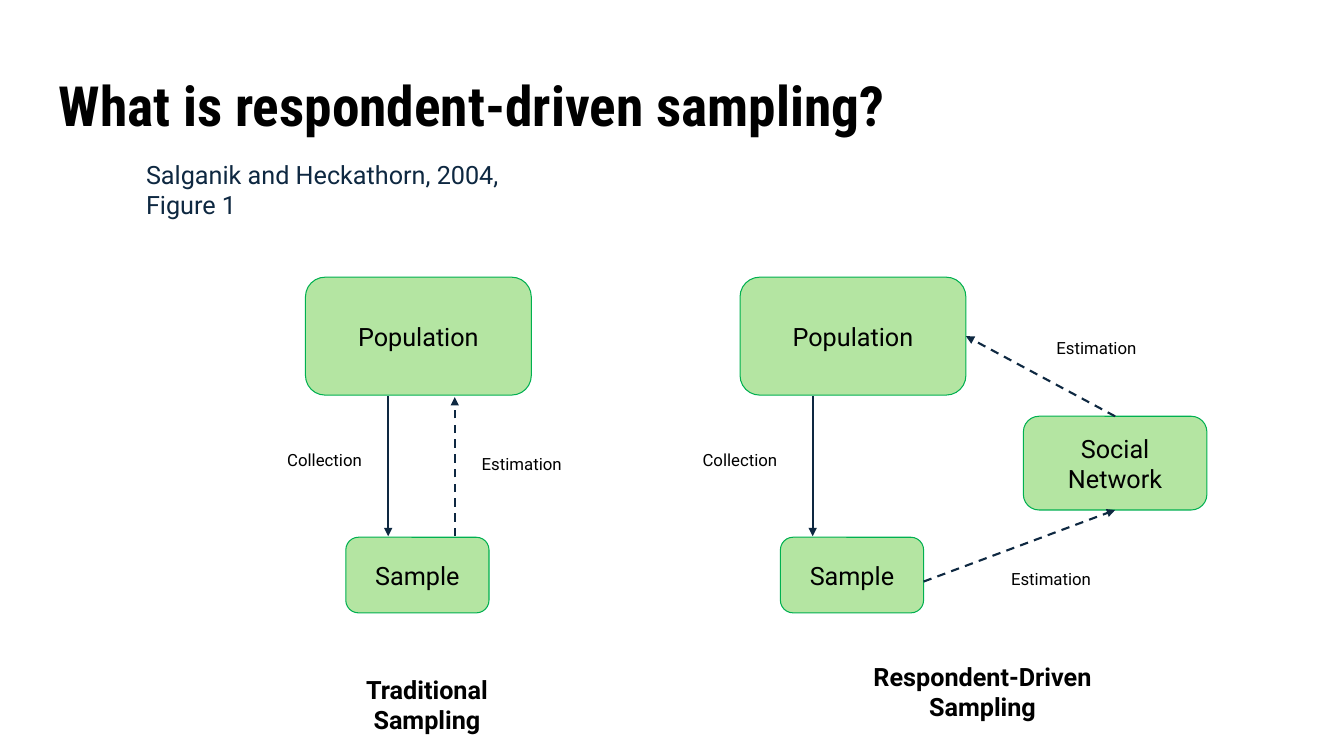
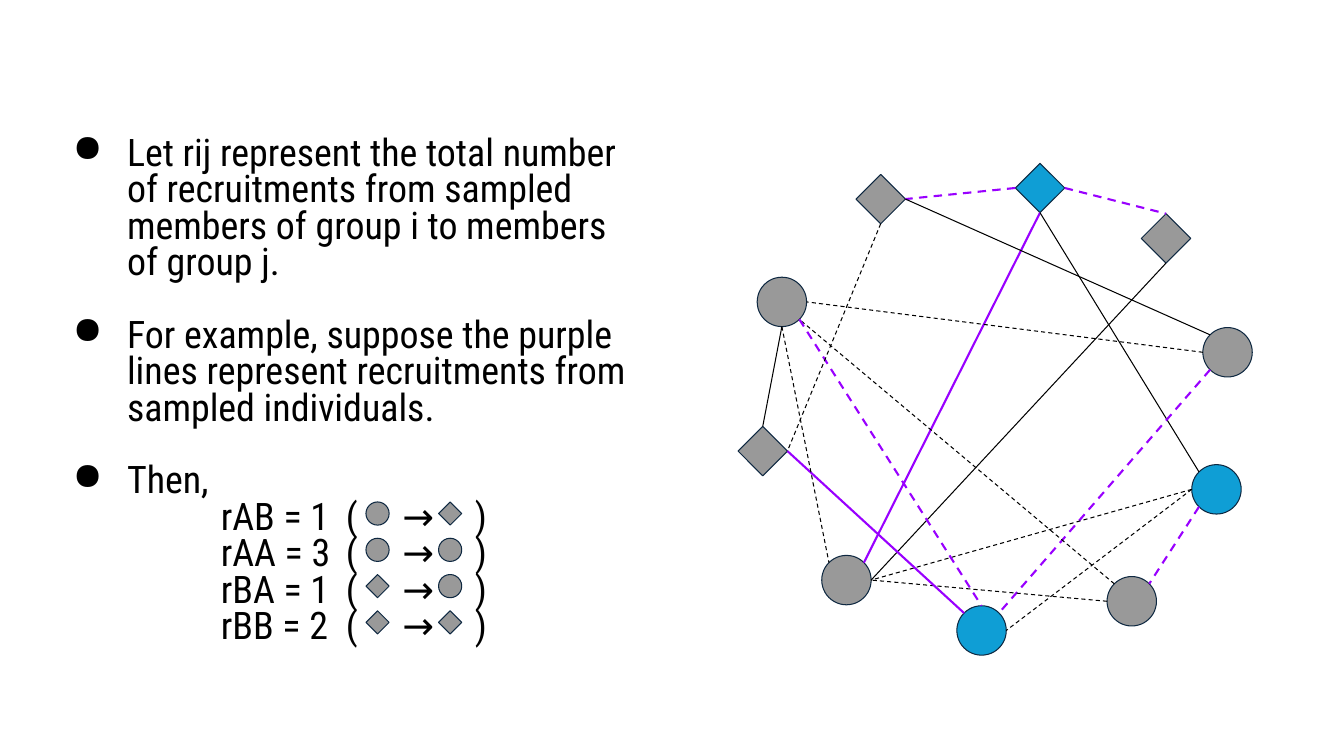
from math import sqrt

from lxml.etree import SubElement
from pptx import Presentation
from pptx.dml.color import RGBColor
from pptx.enum.dml import MSO_LINE
from pptx.enum.shapes import MSO_CONNECTOR, MSO_SHAPE
from pptx.enum.text import MSO_ANCHOR, PP_ALIGN
from pptx.oxml.ns import qn
from pptx.util import Inches, Pt

BLACK = RGBColor(0x00, 0x00, 0x00)
NAVY = RGBColor(0x0E, 0x28, 0x41)
LIGHT_GREEN = RGBColor(0xB4, 0xE5, 0xA2)
GREEN = RGBColor(0x00, 0xB0, 0x50)
GRAY = RGBColor(0x99, 0x99, 0x99)
BLUE = RGBColor(0x0F, 0x9E, 0xD5)
PURPLE = RGBColor(0x99, 0x00, 0xFF)

BODY_FONT = "Roboto"
HEAD_FONT = "Roboto Condensed"
TOP, LEFT, BOTTOM, RIGHT = range(4)
CIRCLE, DIAMOND = MSO_SHAPE.OVAL, MSO_SHAPE.DIAMOND
NODE_SIZE, ICON_SIZE = 0.49, 0.23

NODES = {
    "northwest": (DIAMOND, GRAY, 1.17, 0.11),
    "north": (DIAMOND, BLUE, 2.75, 0),
    "northeast": (DIAMOND, GRAY, 4, 0.5),
    "west": (DIAMOND, GRAY, 0, 2.61),
    "upper left": (CIRCLE, GRAY, 0.19, 1.13),
    "upper right": (CIRCLE, GRAY, 4.61, 1.63),
    "lower right": (CIRCLE, BLUE, 4.5, 2.99),
    "bottom right": (CIRCLE, GRAY, 3.66, 4.1),
    "bottom": (CIRCLE, BLUE, 2.17, 4.39),
    "bottom left": (CIRCLE, GRAY, 0.83, 3.89),
}
DIAGONAL = 1 / sqrt(2)
SITES = {
    "t": (0, -1), "l": (-1, 0), "b": (0, 1), "r": (1, 0),
    "tl": (-DIAGONAL, -DIAGONAL), "tr": (DIAGONAL, -DIAGONAL),
    "bl": (-DIAGONAL, DIAGONAL), "br": (DIAGONAL, DIAGONAL),
}
DIAMOND_SITES = {"t": TOP, "l": LEFT, "b": BOTTOM, "r": RIGHT}
RECRUITMENT, TIE = (PURPLE, 1.5), (BLACK, 0.75)
LINKS = [
    ("north", "b", "bottom left", "tr", RECRUITMENT, False),
    ("north", "b", "lower right", "tl", TIE, False),
    ("north", "r", "northeast", "t", RECRUITMENT, True),
    ("north", "l", "northwest", "r", RECRUITMENT, True),
    ("northeast", "b", "bottom left", "r", TIE, False),
    ("upper right", "tl", "northwest", "r", TIE, False),
    ("upper right", "l", "upper left", "r", TIE, True),
    ("upper right", "bl", "bottom", "tr", RECRUITMENT, True),
    ("lower right", "l", "bottom left", "r", TIE, True),
    ("lower right", "l", "bottom", "r", TIE, True),
    ("lower right", "bl", "bottom right", "tr", RECRUITMENT, True),
    ("bottom right", "l", "bottom left", "r", TIE, True),
    ("bottom right", "tl", "upper left", "br", TIE, True),
    ("upper left", "br", "bottom", "t", RECRUITMENT, True),
    ("west", "r", "bottom", "tl", RECRUITMENT, False),
    ("upper left", "b", "bottom left", "tl", TIE, True),
    ("northwest", "b", "west", "r", TIE, True),
    ("upper left", "b", "west", "t", TIE, False),
]
POINTS = [
    "Let rij represent the total number of recruitments from sampled members "
    "of group i to members of group j.",
    "For example, suppose the purple lines represent recruitments from "
    "sampled individuals.",
    "Then,",
]
COUNTS = [
    ("rAB = 1", CIRCLE, DIAMOND),
    ("rAA = 3", CIRCLE, CIRCLE),
    ("rBA = 1", DIAMOND, CIRCLE),
    ("rBB = 2", DIAMOND, DIAMOND),
]


def add_run(paragraph, text, size, font=BODY_FONT, color=BLACK, bold=False):
    """Append one formatted run to the paragraph."""
    run = paragraph.add_run()
    run.text = text
    run.font.size = Pt(size)
    run.font.name = font
    run.font.color.rgb = color
    run.font.bold = bold


def add_frame(slide, left, top, width, height, inset=0.1):
    """Add a wrapping text box and return its text frame."""
    box = slide.shapes.add_textbox(Inches(left), Inches(top), Inches(width), Inches(height))
    frame = box.text_frame
    frame.word_wrap = True
    frame.margin_left = frame.margin_right = Inches(inset)
    frame.margin_top = frame.margin_bottom = Inches(inset)
    return frame


def add_label(slide, text, left, top, width, height, size=12, align=PP_ALIGN.CENTER,
              color=BLACK, bold=False):
    """Add a label of one paragraph."""
    paragraph = add_frame(slide, left, top, width, height).paragraphs[0]
    paragraph.alignment = align
    add_run(paragraph, text, size, color=color, bold=bold)


def add_title(slide, text):
    """Add the slide title."""
    paragraph = add_frame(slide, 0.45, 0.65, 12.42, 0.84, 0.13).paragraphs[0]
    paragraph.line_spacing = 0.9
    add_run(paragraph, text, 39.6, HEAD_FONT, bold=True)


def add_figure(slide, kind, left, top, width, height, fill, line):
    """Add a flat preset shape with a thin outline."""
    figure = slide.shapes.add_shape(
        kind, Inches(left), Inches(top), Inches(width), Inches(height))
    figure.shadow.inherit = False
    figure.fill.solid()
    figure.fill.fore_color.rgb = fill
    figure.line.color.rgb = line
    figure.line.width = Pt(0.75)
    return figure


def add_stage(slide, text, left, top, width, height):
    """Add a rounded green box of the sampling diagram."""
    stage = add_figure(slide, MSO_SHAPE.ROUNDED_RECTANGLE, left, top, width, height,
                       LIGHT_GREEN, GREEN)
    frame = stage.text_frame
    frame.word_wrap = True
    frame.vertical_anchor = MSO_ANCHOR.MIDDLE
    frame.paragraphs[0].alignment = PP_ALIGN.CENTER
    add_run(frame.paragraphs[0], text, 18)
    return stage


def add_line(slide, start, end, color, weight, dashed=False, arrow=False):
    """Add a straight connector between two points."""
    line = slide.shapes.add_connector(
        MSO_CONNECTOR.STRAIGHT, *[Inches(value) for value in (*start, *end)])
    line.line.color.rgb = color
    line.line.width = Pt(weight)
    if dashed:
        line.line.dash_style = MSO_LINE.DASH
    properties = line._element.spPr
    if arrow:
        SubElement(properties.find(qn("a:ln")), qn("a:tailEnd"), type="triangle")
    SubElement(properties, qn("a:effectLst"))
    return line


def add_arrow(slide, start, end, dashed=False):
    """Add an arrow of the sampling diagram."""
    return add_line(slide, start, end, NAVY, 1.5, dashed, arrow=True)


def add_collection(slide, left, top, arrow_left, label_left):
    """Add the population, the sample and the collection step between them."""
    population = add_stage(slide, "Population", left, top, 2.24, 1.17)
    add_stage(slide, "Sample", left + 0.4, top + 2.58, 1.42, 0.75)
    add_arrow(slide, (left + arrow_left, top + 1.18), (left + arrow_left, top + 2.57))
    add_label(slide, "Collection", left + label_left, top + 1.61, 1.06, 0.45)
    return population


def add_estimation(slide, left, top):
    """Add an estimation label."""
    add_label(slide, "Estimation", left, top, 1.19, 0.45)


def add_traditional(slide, left, top):
    """Draw the traditional sampling diagram."""
    add_collection(slide, left, top, 0.82, -0.34)
    add_arrow(slide, (left + 1.48, top + 2.57), (left + 1.48, top + 1.19), dashed=True)
    add_estimation(slide, left + 1.55, top + 1.65)
    add_label(slide, "Traditional Sampling", left, top + 3.84, 2.41, 0.75, 18, bold=True)


def add_respondent_driven(slide, left, top):
    """Draw the respondent-driven sampling diagram."""
    population = add_collection(slide, left, top, 0.72, -0.53)
    network = add_stage(slide, "Social Network", left + 2.81, top + 1.38, 1.82, 0.93)
    to_network = add_arrow(slide, (left + 1.82, top + 3.02), (left + 3.72, top + 2.31),
                           dashed=True)
    to_network.end_connect(network, BOTTOM)
    to_population = add_arrow(slide, (left + 3.72, top + 1.38), (left + 2.24, top + 0.58),
                              dashed=True)
    to_population.begin_connect(network, TOP)
    to_population.end_connect(population, RIGHT)
    add_estimation(slide, left + 2.94, top + 0.5)
    add_estimation(slide, left + 2.49, top + 2.79)
    add_label(slide, "Respondent-Driven Sampling", left + 1.07, top + 3.71, 2.67, 0.75, 18,
              bold=True)


def add_explanation(slide, left, top, width, height):
    """Add the bullet points and the recruitment counts with their icons."""
    frame = add_frame(slide, left, top, width, height, 0.13)
    lines = POINTS + [f"\t{count}\t(\t→\t)" for count, _, _ in COUNTS]
    for index, text in enumerate(lines):
        paragraph = frame.add_paragraph() if index else frame.paragraphs[0]
        paragraph.line_spacing = 0.8
        add_run(paragraph, text, 27.1, HEAD_FONT)
        properties = paragraph._p.get_or_add_pPr()
        if index < len(POINTS):
            paragraph.space_before = Pt(26 if index else 0)
            properties.set("marL", str(Inches(0.67)))
            properties.set("indent", str(Inches(-0.54)))
            SubElement(properties, qn("a:buChar"), char="●")
        else:
            stops = SubElement(properties, qn("a:tabLst"))
            for stop in (1.6, 2.84, 3.4, 4.12):
                SubElement(stops, qn("a:tab"), pos=str(Inches(stop)), algn="l")
    for row, (_, recruiter, recruit) in enumerate(COUNTS):
        for column, kind in enumerate((recruiter, recruit)):
            add_figure(slide, kind, left + 3.17 + 0.72 * column, top + 3.75 + 0.36 * row,
                       ICON_SIZE, ICON_SIZE, GRAY, NAVY)


def add_network(slide, left, top):
    """Draw the social network with its ties and recruitments."""
    people = {
        name: add_figure(slide, kind, left + x, top + y, NODE_SIZE, NODE_SIZE, fill, NAVY)
        for name, (kind, fill, x, y) in NODES.items()
    }

    def site_point(name, site):
        """Return the place of a site on the edge of a node."""
        _, _, x, y = NODES[name]
        across, down = SITES[site]
        radius = NODE_SIZE / 2
        return left + x + radius * (1 + across), top + y + radius * (1 + down)

    for source, source_site, target, target_site, style, dashed in LINKS:
        link = add_line(slide, site_point(source, source_site),
                        site_point(target, target_site), *style, dashed)
        if NODES[source][0] == DIAMOND:
            link.begin_connect(people[source], DIAMOND_SITES[source_site])
        if NODES[target][0] == DIAMOND:
            link.end_connect(people[target], DIAMOND_SITES[target_site])


def build_definition_slide(slide):
    """Compare traditional and respondent-driven sampling."""
    add_title(slide, "What is respondent-driven sampling?")
    add_label(slide, "Salganik and Heckathorn, 2004, Figure 1", 1.35, 1.48, 4.19, 0.75, 18,
              PP_ALIGN.LEFT, NAVY)
    add_traditional(slide, 3.03, 2.75)
    add_respondent_driven(slide, 7.34, 2.75)


def build_recruitment_slide(slide):
    """Explain recruitment counts beside a network."""
    add_explanation(slide, 0.46, 1.23, 5.99, 5.56)
    add_network(slide, 7.32, 1.62)


def main():
    """Build and save the presentation."""
    deck = Presentation()
    deck.slide_width, deck.slide_height = Inches(13.33), Inches(7.5)
    for build in (build_definition_slide, build_recruitment_slide):
        build(deck.slides.add_slide(deck.slide_layouts[6]))
    deck.save("out.pptx")


if __name__ == "__main__":
    main()
